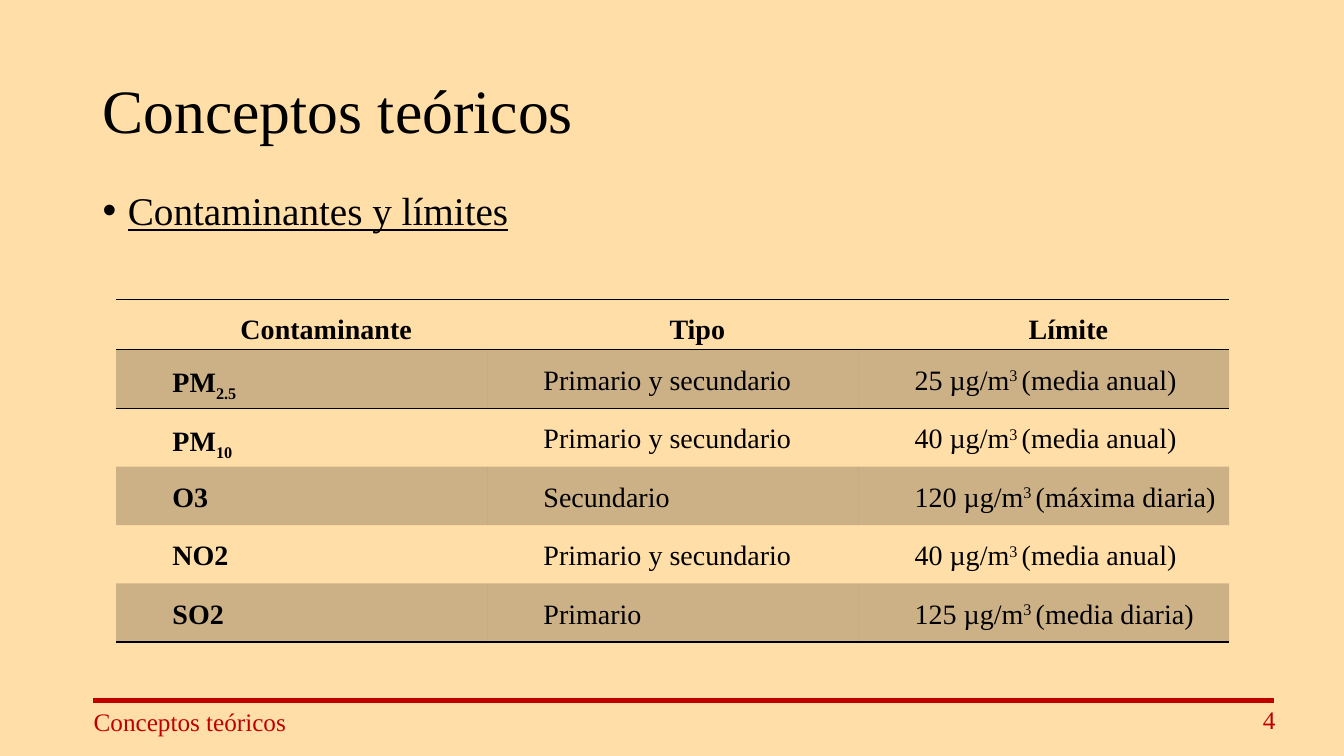
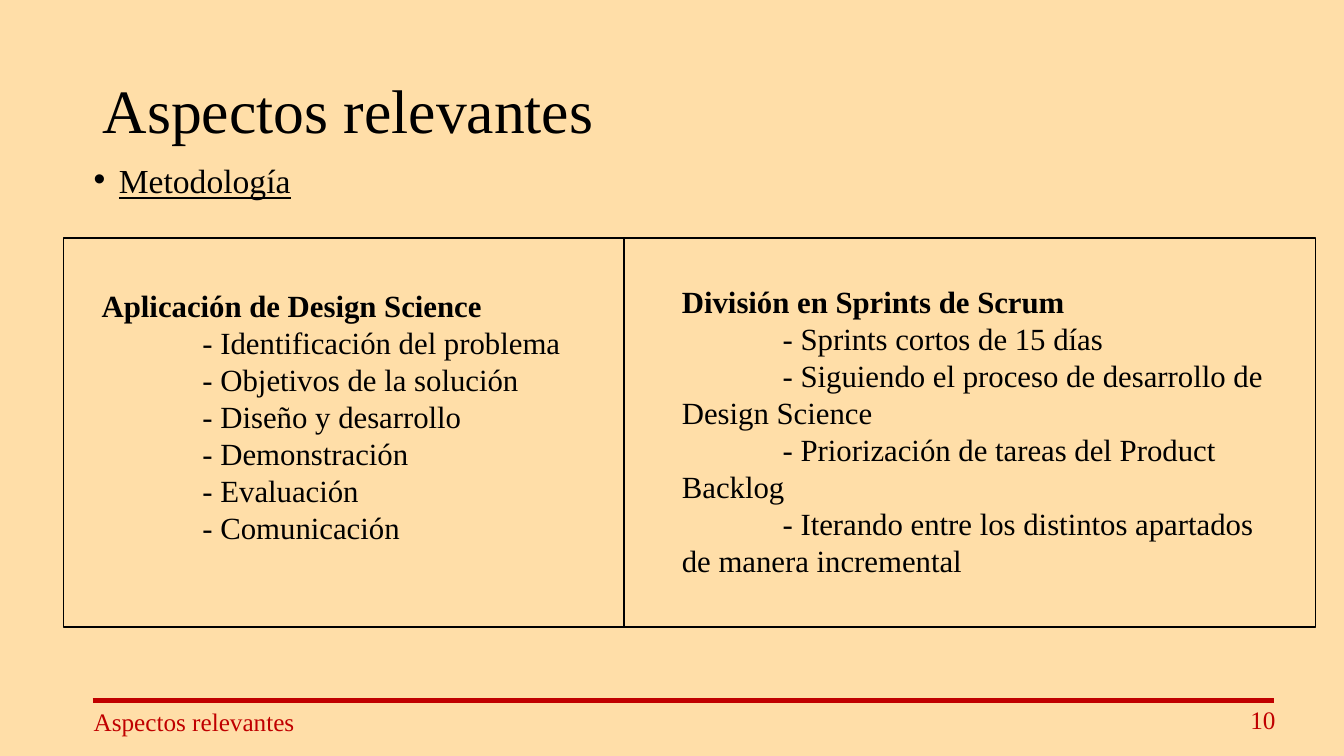
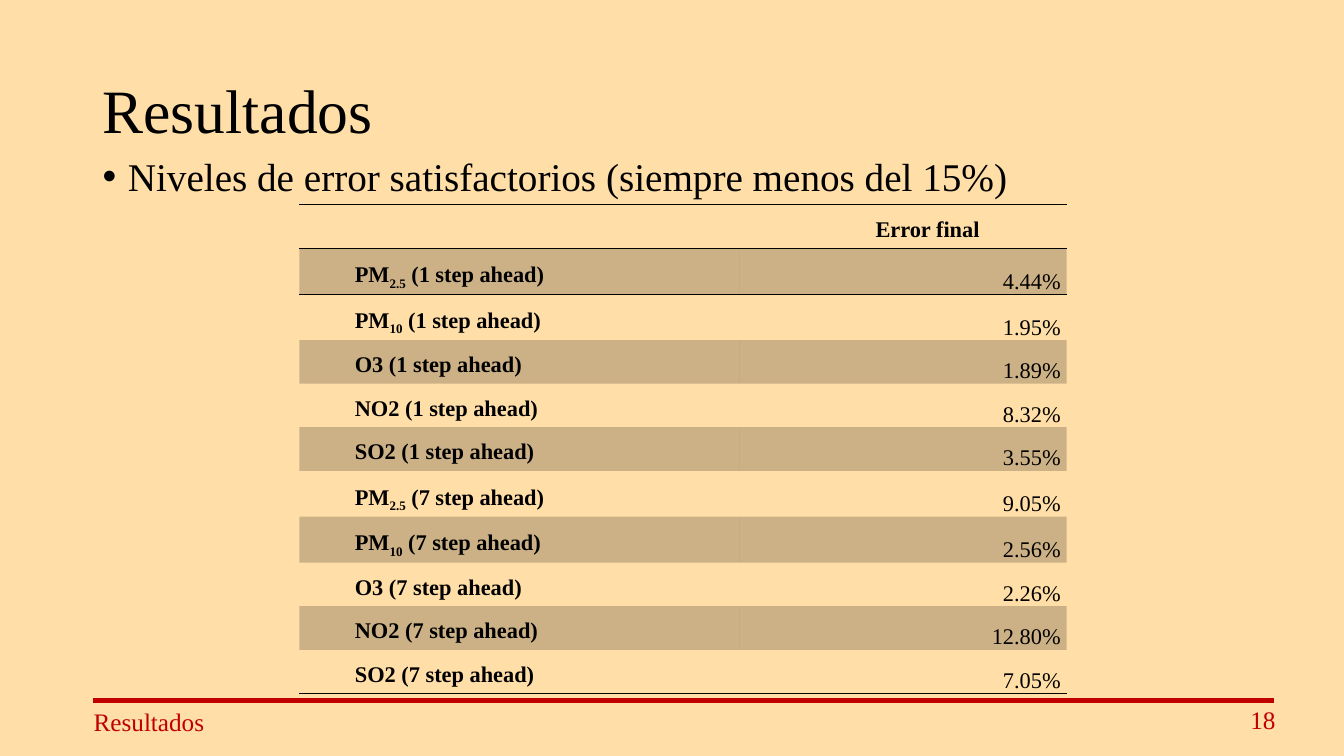
from dataclasses import dataclass
from typing import NamedTuple

from lxml.etree import SubElement
from pptx import Presentation
from pptx.dml.color import RGBColor
from pptx.enum.shapes import MSO_CONNECTOR, MSO_SHAPE
from pptx.enum.text import MSO_ANCHOR, PP_ALIGN
from pptx.oxml import parse_xml
from pptx.oxml.ns import nsdecls, qn
from pptx.util import Emu, Inches, Pt

# Shared style
FONT = "Times New Roman"
CREAM, BLACK, RED = "FFDEA8", "000000", "C00000"
PLAIN_TABLE = "{2D5ABB26-0587-4C30-8999-92F81FD0307C}"
WIDTH, HEIGHT = Inches(13.333), Inches(7.5)
BAND_ALPHA = 20


class Box(NamedTuple):
    """Left, top, width and height in percent of the slide."""
    left: float
    top: float
    width: float
    height: float


class Run(NamedTuple):
    text: str
    baseline: int = 0


Runs = tuple[Run, ...]


class Column(NamedTuple):
    width: float
    align: PP_ALIGN
    anchor: MSO_ANCHOR
    bold: bool


@dataclass
class TableDesign:
    left: float
    top: float
    columns: list[Column]
    header_height: float
    row_height: float
    size: int
    inset: float


TITLE = Box(6.9, 5.33, 86.25, 19.33)
FOOTER = Box(6.23, 92.8, 37.06, 5.33)
PAGE = Box(91.97, 92.53, 3.68, 5.33)
RULE = Box(6.9, 92.67, 87.92, 0)


# Units and colours
def across(percent: float) -> Emu:
    return Emu(round(WIDTH * percent / 100))


def down(percent: float) -> Emu:
    return Emu(round(HEIGHT * percent / 100))


def place(box: Box) -> tuple[Emu, Emu, Emu, Emu]:
    return across(box.left), down(box.top), across(box.width), down(box.height)


def rgb(value: str) -> RGBColor:
    return RGBColor.from_string(value)


# Text
def style_runs(p, size: float, color: str = BLACK, bold: bool = False,
               underline: bool = False) -> None:
    for r in p.runs:
        f = r.font
        f.name, f.size, f.bold = FONT, Pt(size), bold
        f.color.rgb = rgb(color)
        if underline:
            f.underline = True


def indent(p, margin: float, first: float) -> None:
    pPr = p._p.get_or_add_pPr()
    pPr.set("marL", str(Inches(margin)))
    pPr.set("indent", str(Inches(first)))


def add_text(s, box: Box, text: str, size: float, color: str = BLACK):
    tf = s.shapes.add_textbox(*place(box)).text_frame
    tf.word_wrap = True
    tf.text = text
    for p in tf.paragraphs:
        style_runs(p, size, color)
    return tf


def add_bullet(s, left: float, top: float, text: str, size: float = 28,
               spacing: float = 0.9, underline: bool = True) -> None:
    tf = add_text(s, Box(left, top, 86.25, 7.07), text, size)
    p = tf.paragraphs[0]
    p.line_spacing, p.space_before = spacing, Pt(10)
    indent(p, 0.25, -0.25)
    pPr = p._p.get_or_add_pPr()
    SubElement(pPr, qn("a:buFont"), typeface="Arial")
    SubElement(pPr, qn("a:buChar"), char="•")
    style_runs(p, size, underline=underline)


def add_topic(s, box: Box, heading: str, items: list[str]) -> None:
    lines = [heading] + [f"- {item}" for item in items]
    first, *rest = add_text(s, box, "\n".join(lines), 22).paragraphs
    style_runs(first, 22, bold=True)
    for p in rest:
        indent(p, 0, 1)


# Lines
def add_line(s, box: Box, color: str, width: float) -> None:
    x, y, w, h = place(box)
    line = s.shapes.add_connector(MSO_CONNECTOR.STRAIGHT, x, y, x + w, y + h)
    line.line.color.rgb = rgb(color)
    line.line.width = Pt(width)
    SubElement(line._element.spPr, qn("a:effectLst"))


# Tables
def add_borders(cell, sides: str) -> None:
    tcPr = cell._tc.get_or_add_tcPr()
    for i, side in enumerate(sides):
        tcPr.insert(i, parse_xml(
            f'<a:ln{side} {nsdecls("a")} w="{Pt(1)}"><a:solidFill>'
            f'<a:srgbClr val="{BLACK}"/></a:solidFill></a:ln{side}>'))


def fill_band(cell) -> None:
    cell.fill.solid()
    cell.fill.fore_color.rgb = rgb(BLACK)
    clr = cell._tc.tcPr.find(f".//{qn('a:srgbClr')}")
    SubElement(clr, qn("a:alpha"), val=str(BAND_ALPHA * 1000))


def write_cell(cell, runs: Runs, design: TableDesign, align: PP_ALIGN,
               anchor: MSO_ANCHOR, bold: bool) -> None:
    cell.margin_left = cell.margin_right = Inches(design.inset)
    cell.margin_top = cell.margin_bottom = 0
    cell.vertical_anchor = anchor
    if not runs:
        return
    p = cell.text_frame.paragraphs[0]
    p.alignment, p.line_spacing, p.space_after = align, 1.5, Pt(8)
    indent(p, 0, 0.49)
    for run in runs:
        r = p.add_run()
        r.text = run.text
        if run.baseline:
            r.font._element.set("baseline", str(run.baseline * 1000))
    style_runs(p, design.size, bold=bold)


def add_data_table(s, design: TableDesign, rows: list[list[Runs]]) -> None:
    heights = [design.header_height] + [design.row_height] * (len(rows) - 1)
    box = Box(design.left, design.top,
              sum(c.width for c in design.columns), sum(heights))
    table = s.shapes.add_table(len(rows), len(design.columns), *place(box)).table
    table.first_row = table.horz_banding = False
    table._tbl.tblPr.find(qn("a:tableStyleId")).text = PLAIN_TABLE
    for i, column in enumerate(design.columns):
        table.columns[i].width = across(column.width)
    for i, (height, row) in enumerate(zip(heights, rows)):
        table.rows[i].height = down(height)
        for j, (column, runs) in enumerate(zip(design.columns, row)):
            cell = table.cell(i, j)
            if i == 0:
                write_cell(cell, runs, design, PP_ALIGN.CENTER, MSO_ANCHOR.TOP, True)
            else:
                write_cell(cell, runs, design, column.align, column.anchor, column.bold)
            if i % 2:
                fill_band(cell)
            else:
                cell.fill.background()
            if i == 0:
                add_borders(cell, "TB")
            elif i == 1:
                add_borders(cell, "T")
            elif i == len(rows) - 1:
                add_borders(cell, "B")


# Wording of the table cells
def plain(text: str) -> Runs:
    return (Run(text),) if text else ()


def limit(value: int, period: str) -> Runs:
    return Run(f"{value} µg/m"), Run("3 ", 30), Run(f"({period})")


CONTAMINANTS: list[Runs] = [
    (Run("PM"), Run("2.5", -25)),
    (Run("PM"), Run("10", -25)),
    plain("O3"),
    plain("NO2"),
    plain("SO2"),
]


def step_label(name: Runs, steps: int) -> Runs:
    suffix = f" ({steps} step ahead)"
    if len(name) == 1:
        return plain(name[0].text + suffix)
    return *name, Run(suffix)


# Slides
def new_slide(prs, title: str, page: int):
    s = prs.slides.add_slide(prs.slide_layouts[6])
    tf = add_text(s, TITLE, title, 44)
    tf.vertical_anchor = MSO_ANCHOR.MIDDLE
    tf.paragraphs[0].line_spacing = 0.9
    add_line(s, RULE, RED, 3)
    add_text(s, FOOTER, title, 18, RED)
    number = add_text(s, PAGE, str(page), 18, RED)
    number.paragraphs[0].alignment = PP_ALIGN.RIGHT
    return s


def limits_slide(prs) -> None:
    s = new_slide(prs, "Conceptos teóricos", 4)
    add_bullet(s, 6.9, 24.67, "Contaminantes y límites")
    both = "Primario y secundario"
    kinds = [both, both, "Secundario", both, "Primario"]
    limits = [limit(25, "media anual"), limit(40, "media anual"),
              limit(120, "máxima diaria"), limit(40, "media anual"),
              limit(125, "media diaria")]
    rows = [[plain(t) for t in ("Contaminante", "Tipo", "Límite")]]
    rows += [[name, plain(kind), value]
             for name, kind, value in zip(CONTAMINANTS, kinds, limits)]
    columns = [Column(27.61, PP_ALIGN.JUSTIFY, MSO_ANCHOR.TOP, bold)
               for bold in (True, False, False)]
    add_data_table(s, TableDesign(8.63, 39.6, columns, 6, 7.73, 20, 0.07), rows)


def method_slide(prs) -> None:
    s = new_slide(prs, "Aspectos relevantes", 10)
    add_bullet(s, 6.23, 22, "Metodología", 24, 0.7)
    add_topic(s, Box(50, 36.8, 45.84, 40.8), "División en Sprints de Scrum", [
        "Sprints cortos de 15 días",
        "Siguiendo el proceso de desarrollo de Design Science",
        "Priorización de tareas del Product Backlog",
        "Iterando entre los distintos apartados de manera incremental",
    ])
    add_topic(s, Box(6.83, 37.33, 38.93, 40), "Aplicación de Design Science", [
        "Identificación del problema",
        "Objetivos de la solución",
        "Diseño y desarrollo",
        "Demonstración",
        "Evaluación",
        "Comunicación",
    ])
    # Frame split in two
    frame = Box(4.73, 31.47, 93.17, 51.47)
    sp = s.shapes.add_shape(MSO_SHAPE.RECTANGLE, *place(frame))
    sp.shadow.inherit = False
    sp.fill.background()
    sp.line.color.rgb = rgb(BLACK)
    sp.line.width = Pt(1)
    add_line(s, Box(46.44, frame.top, 0, frame.height), BLACK, 1)


def results_slide(prs) -> None:
    s = new_slide(prs, "Resultados", 18)
    add_bullet(s, 6.9, 20.13,
               "Niveles de error satisfactorios (siempre menos del 15%)",
               underline=False)
    errors = {1: [4.44, 1.95, 1.89, 8.32, 3.55],
              7: [9.05, 2.56, 2.26, 12.80, 7.05]}
    rows = [[plain(""), plain("Error final")]]
    rows += [[step_label(name, steps), plain(f"{error:.2f}%")]
             for steps, values in errors.items()
             for name, error in zip(CONTAMINANTS, values)]
    columns = [Column(32.71, PP_ALIGN.JUSTIFY, MSO_ANCHOR.TOP, True),
               Column(24.38, PP_ALIGN.RIGHT, MSO_ANCHOR.BOTTOM, False)]
    add_data_table(s, TableDesign(22.28, 27.07, columns, 5.77, 5.77, 16, 0.06), rows)


def main() -> None:
    prs = Presentation()
    prs.slide_width, prs.slide_height = WIDTH, HEIGHT
    background = prs.slide_master.background.fill
    background.solid()
    background.fore_color.rgb = rgb(CREAM)
    limits_slide(prs)
    method_slide(prs)
    results_slide(prs)
    prs.save("out.pptx")


if __name__ == "__main__":
    main()
